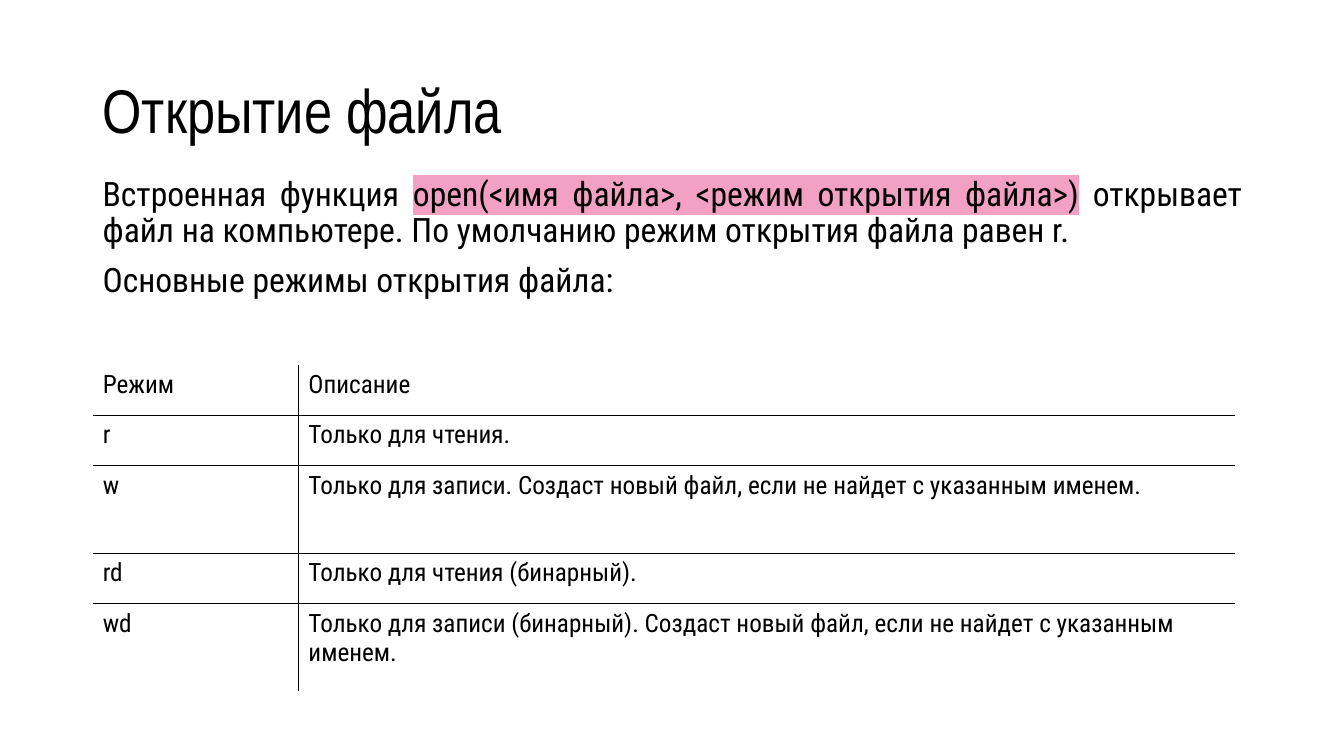
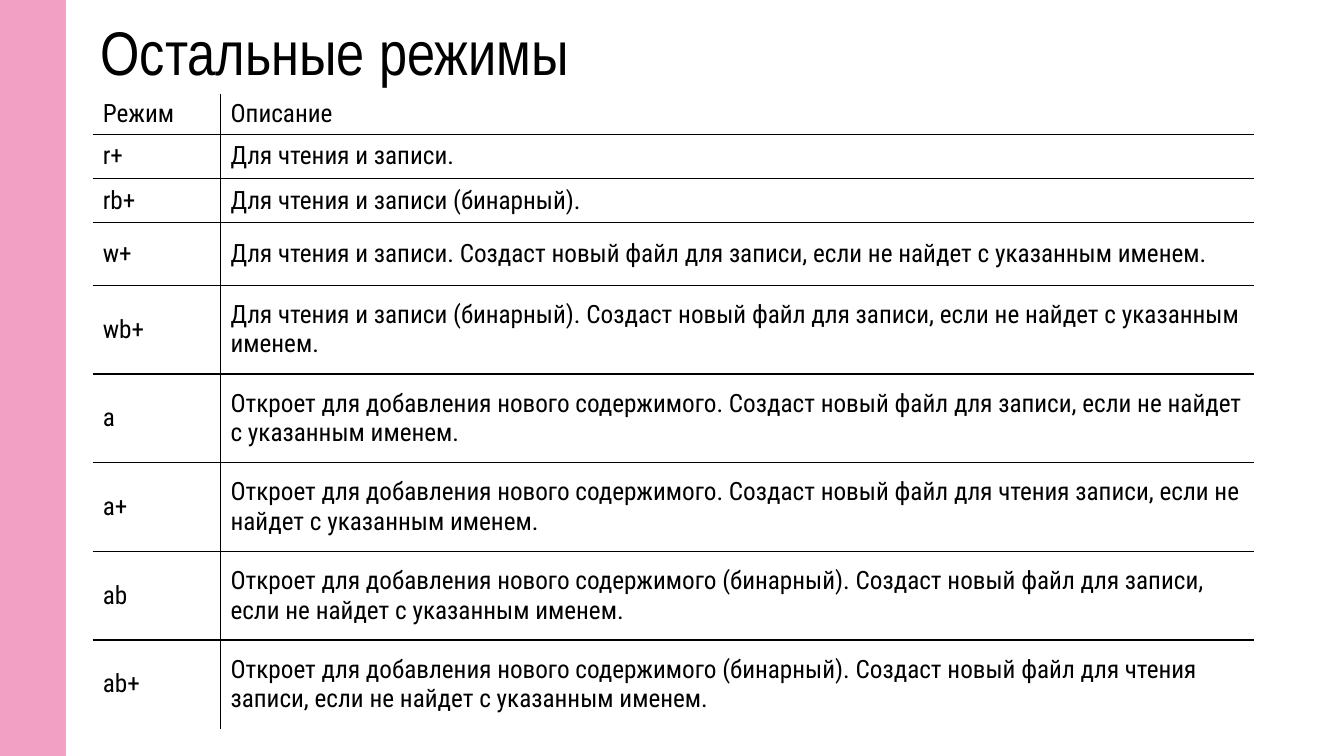
from pptx import Presentation, util as u
from pptx.dml.color import RGBColor
from pptx.enum import shapes, text
from pptx.oxml import parse_xml
from pptx.oxml.ns import nsdecls, qn

COLORS = {"ink": "000000", "paper": "FFFFFF", "accent": "F2A0C3"}
TITLE_FONT, BODY_FONT = "Arial Narrow", "Roboto Condensed"
WIDTH, HEIGHT = u.Inches(13.33), u.Inches(7.5)
NO_STYLE = "{2D5ABB26-0587-4C30-8999-92F81FD0307C}"
HEADINGS = ("Режим", "Описание")


def across(percent):
    return round(WIDTH * percent / 100)


def down(percent):
    return round(HEIGHT * percent / 100)


def place(left, top, width, height):
    return across(left), down(top), across(width), down(height)


def write(paragraph, content, size=18, font=BODY_FONT, color="ink", align=None,
          spacing=None, before=None, highlight=None):
    run = paragraph.add_run()
    run.text = content
    run.font.size = u.Pt(size)
    run.font.name = font
    run.font.color.rgb = RGBColor.from_string(COLORS[color])
    if highlight:
        ink = run.font._element.find(qn("a:solidFill"))
        ink.addnext(parse_xml(
            f'<a:highlight {nsdecls("a")}><a:srgbClr val="{COLORS[highlight]}"/></a:highlight>'))
    if align is not None:
        paragraph.alignment = align
    if spacing:
        paragraph.line_spacing = spacing
    if before:
        paragraph.space_before = u.Pt(before)


def add_frame(slide, box, anchor):
    frame = slide.shapes.add_textbox(*box).text_frame
    frame.word_wrap = True
    frame.vertical_anchor = anchor
    return frame


def add_title(slide, box, content):
    frame = add_frame(slide, box, text.MSO_ANCHOR.MIDDLE)
    write(frame.paragraphs[0], content, size=44, font=TITLE_FONT, spacing=0.9)


def add_intro(slide, box, paragraphs):
    frame = add_frame(slide, box, text.MSO_ANCHOR.TOP)
    for index, pieces in enumerate(paragraphs):
        paragraph = frame.add_paragraph() if index else frame.paragraphs[0]
        for content, highlight in pieces:
            write(paragraph, content, size=24, align=text.PP_ALIGN.JUSTIFY,
                  spacing=0.9, before=10, highlight=highlight)


def add_side_band(slide, box):
    band = slide.shapes.add_shape(shapes.MSO_SHAPE.RECTANGLE, *box)
    band.shadow.inherit = False
    band.fill.solid()
    band.fill.fore_color.rgb = RGBColor.from_string(COLORS["accent"])
    band.line.fill.background()


def rule_cell(cell, sides):
    properties = cell._tc.get_or_add_tcPr()
    for index, side in enumerate("LRTB"):
        paint = (f'<a:solidFill><a:srgbClr val="{COLORS["ink"]}"/></a:solidFill>'
                 if side in sides else "<a:noFill/>")
        properties.insert(index, parse_xml(
            f'<a:ln{side} {nsdecls("a")} w="{u.Pt(1)}">{paint}</a:ln{side}>'))


def add_modes(slide, box, mode_share, row_shares, modes, centered=False):
    left, top, width, height = box
    rows = [HEADINGS, *modes]
    table_frame = slide.shapes.add_table(len(rows), 2, *box)
    table = table_frame.table
    table_frame._element.find(".//" + qn("a:tableStyleId")).text = NO_STYLE
    table.first_row = table.horz_banding = False
    table.columns[0].width = round(width * mode_share)
    table.columns[1].width = width - table.columns[0].width
    for r, (row, share) in enumerate(zip(rows, row_shares)):
        table.rows[r].height = round(height * share / sum(row_shares))
        for c, content in enumerate(row):
            cell = table.cell(r, c)
            cell.fill.background()
            sides = ("R" if c == 0 else "L") + ("T" if r else "")
            rule_cell(cell, sides + ("B" if r < len(rows) - 1 else ""))
            if centered and r:
                cell.vertical_anchor = text.MSO_ANCHOR.MIDDLE
                cell.margin_top = cell.margin_bottom = u.Inches(0.07)
            write(cell.text_frame.paragraphs[0], content)


def add_slide(deck):
    slide = deck.slides.add_slide(deck.slide_layouts[6])
    slide.background.fill.solid()
    slide.background.fill.fore_color.rgb = RGBColor.from_string(COLORS["paper"])
    return slide


def build_opening(deck):
    slide = add_slide(deck)
    add_title(slide, place(6.9, 5.33, 86.25, 19.33), "Открытие файла")
    add_intro(slide, place(6.9, 22.8, 86.25, 67.2), [
        [("Встроенная функция ", None),
         ("open(<имя файла>, <режим открытия файла>)", "accent"),
         (" открывает файл на компьютере. По умолчанию режим открытия файла равен r.", None)],
        [("Основные режимы открытия файла: ", None)],
    ])
    add_modes(slide, place(6.9, 48.27, 85, 43.2), 0.18, (0.5, 0.5, 0.87, 0.5, 0.87), [
        ("r", "Только для чтения."),
        ("w", "Только для записи. Создаст новый файл, если не найдет с указанным именем."),
        ("rd", "Только для чтения (бинарный)."),
        ("wd", "Только для записи (бинарный). Создаст новый файл, если не найдет с указанным именем."),
    ])


def build_other_modes(deck):
    slide = add_slide(deck)
    add_title(slide, place(6.75, 0, 86.25, 14.8), "Остальные режимы")
    create = "Создаст новый файл для записи, если не найдет с указанным именем."
    create_read = "Создаст новый файл для чтения записи, если не найдет с указанным именем."
    append = "Откроет для добавления нового содержимого"
    row_shares = (0.39, 0.43, 0.43, 0.62) + (0.88,) * 5
    add_modes(slide, place(6.9, 12.4, 86.42, 83.6), 0.11, row_shares, [
        ("r+", "Для чтения и записи."),
        ("rb+", "Для чтения и записи (бинарный)."),
        ("w+", f"Для чтения и записи. {create}"),
        ("wb+", f"Для чтения и записи (бинарный). {create}"),
        ("a", f"{append}. {create}"),
        ("a+", f"{append}. {create_read}"),
        ("ab", f"{append} (бинарный). {create}"),
        ("ab+", f"{append} (бинарный). {create_read}"),
    ], centered=True)
    add_side_band(slide, place(0, 0, 4.9, 100))


def main():
    deck = Presentation()
    deck.slide_width, deck.slide_height = WIDTH, HEIGHT
    build_opening(deck)
    build_other_modes(deck)
    deck.save("out.pptx")


if __name__ == "__main__":
    main()
